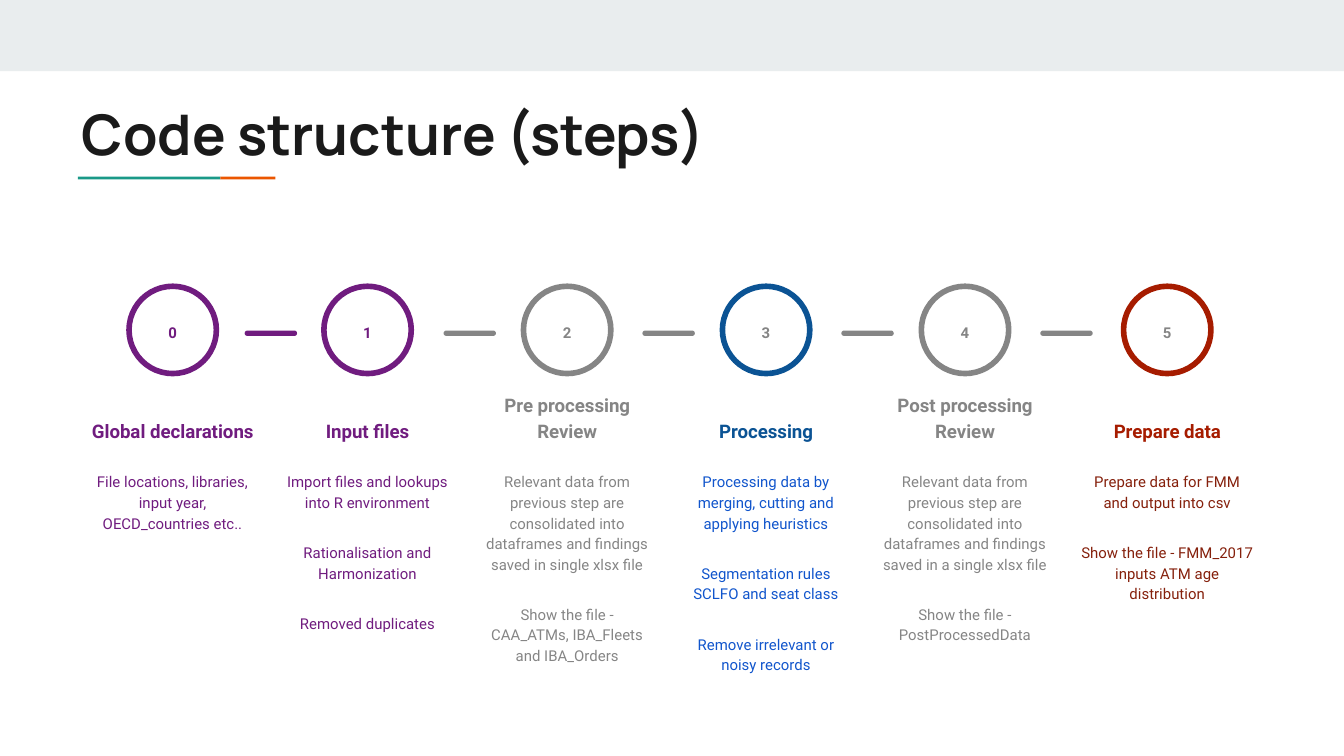
from pptx import Presentation
from pptx.dml.color import RGBColor
from pptx.enum.shapes import MSO_SHAPE
from pptx.enum.text import MSO_ANCHOR, PP_ALIGN
from pptx.util import Inches, Pt

RECT, BAR, RING = MSO_SHAPE.RECTANGLE, MSO_SHAPE.ROUNDED_RECTANGLE, MSO_SHAPE.OVAL
TOP, BASE = MSO_ANCHOR.TOP, MSO_ANCHOR.BOTTOM
LEFT, MID = PP_ALIGN.LEFT, PP_ALIGN.CENTER
hue = RGBColor.from_string

# Grid of 100 columns; rows have the same size as columns
COLS, ROWS = 100, 56.25
CELL = Inches(0.1)
PURPLE, GREY, BLUE, RED = "701C7F", "858585", "0B5394", "A61C00"

deck = Presentation()
deck.slide_width, deck.slide_height = int(COLS * CELL), int(ROWS * CELL)
slide = deck.slides.add_slide(deck.slide_layouts[6])
shapes = slide.shapes


def draw(kind, area, fill=None, line=None):
    shape = shapes.add_shape(kind, *(int(n * CELL) for n in area))
    shape.shadow.inherit = False
    if fill:
        shape.fill.solid()
        shape.fill.fore_color.rgb = hue(fill)
    else:
        shape.fill.background()
    if line:
        shape.line.color.rgb = hue(line)
        shape.line.width = Pt(3)
    else:
        shape.line.fill.background()
    return shape


def write(area, lines, face, size, tint, bold=True, anchor=TOP, align=MID, lead=1.15):
    frame = shapes.add_textbox(*(int(n * CELL) for n in area)).text_frame
    edge = {f"margin_{side}": CELL for side in ("left", "top", "right", "bottom")}
    for name, value in {"word_wrap": True, "vertical_anchor": anchor, **edge}.items():
        setattr(frame, name, value)
    for i, line in enumerate(lines):
        para = frame.paragraphs[0] if i == 0 else frame.add_paragraph()
        para.alignment, para.line_spacing = align, lead
        if i:
            para.space_before = Pt(16)
        run = para.add_run()
        run.text = line
        for name, value in {"name": face, "size": Pt(size), "bold": bold}.items():
            setattr(run.font, name, value)
        run.font.color.rgb = hue(tint)


# Top band, title and its two-colour rule
draw(RECT, (0, 0, COLS, 5.3), "E9EDEE")
draw(RECT, (5.8, 13.15, 10.6, 0.2), "1A9988")
draw(RECT, (16.4, 13.15, 4.1, 0.2), "EB5600")
write((5.1, 6.4, 81.9, 5.9), ["Code structure (steps)"], "Manrope", 30, "1A1A1A",
      align=LEFT, lead=1)

# Bars between the steps
for i in range(5):
    tint = GREY if i else PURPLE
    bar = draw(BAR, (18.2 + 14.8 * i, 24.6, 3.9, 0.4), tint)
    bar.adjustments[0] = 0.5

# Steps: centre, width, ring and head colour, number colour, body colour, head, body
steps = [
    (12.85, 14.3, PURPLE, PURPLE, PURPLE, "Global declarations",
     ["File locations, libraries, input year, OECD_countries etc.."]),
    (27.35, 14.3, PURPLE, PURPLE, PURPLE, "Input files",
     ["Import files and lookups into R environment",
      "Rationalisation and Harmonization", "Removed duplicates"]),
    (42.2, 14.9, GREY, GREY, GREY, "Pre processing Review",
     ["Relevant data from previous step are consolidated into dataframes "
      "and findings saved in single xlsx file",
      "Show the file - CAA_ATMs, IBA_Fleets and IBA_Orders"]),
    (57, 14.3, BLUE, GREY, "1155CC", "Processing",
     ["Processing data by merging, cutting and applying heuristics",
      "Segmentation rules SCLFO and seat class",
      "Remove irrelevant or noisy records"]),
    (71.8, 14.9, GREY, GREY, GREY, "Post processing Review",
     ["Relevant data from previous step are consolidated into dataframes "
      "and findings saved in a single xlsx file",
      "Show the file - PostProcessedData"]),
    (86.85, 14.9, RED, GREY, "85200C", "Prepare data",
     ["Prepare data for FMM and output into csv",
      "Show the file - FMM_2017 inputs ATM age distribution"]),
]
for i, (mid, wide, main, count, ink, head, body) in enumerate(steps):
    left = mid - wide / 2
    draw(RING, (mid - 3.25, 21.3, 6.5, 6.5), line=main)
    write((mid - 2.4, 23.1, 4.8, 3.5), [str(i)], "Roboto", 8, count)
    write((left, 29, wide, 4.9), [head], "Roboto", 10, main, anchor=BASE)
    write((left, 34, wide, 8.1), body, "Roboto", 8, ink, bold=False)

deck.save("out.pptx")
